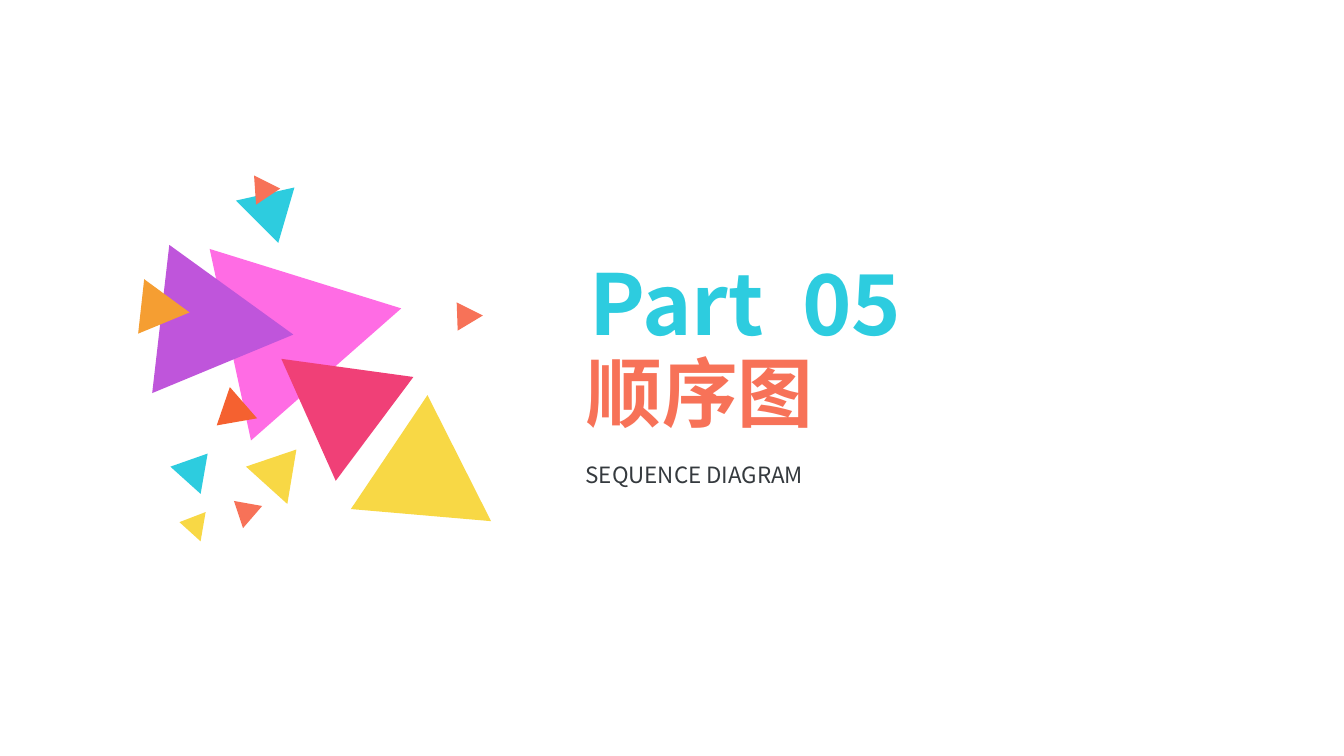
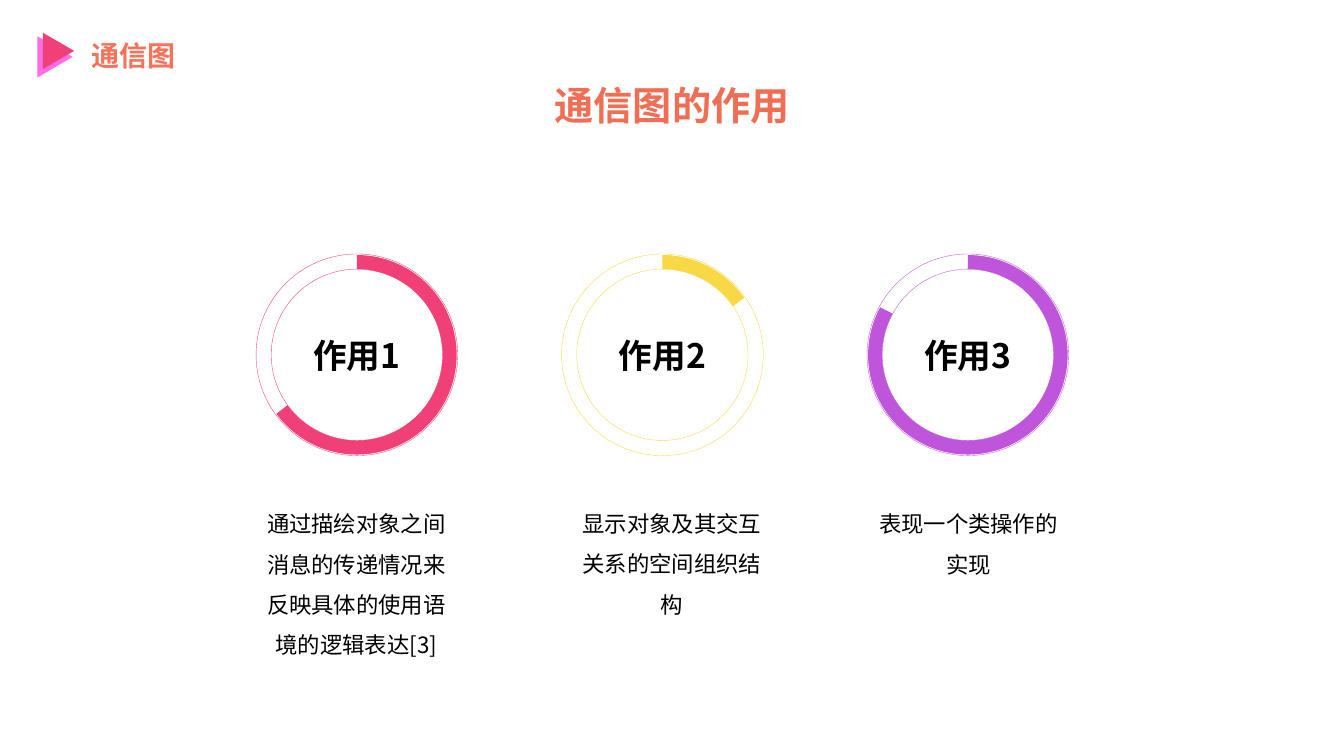
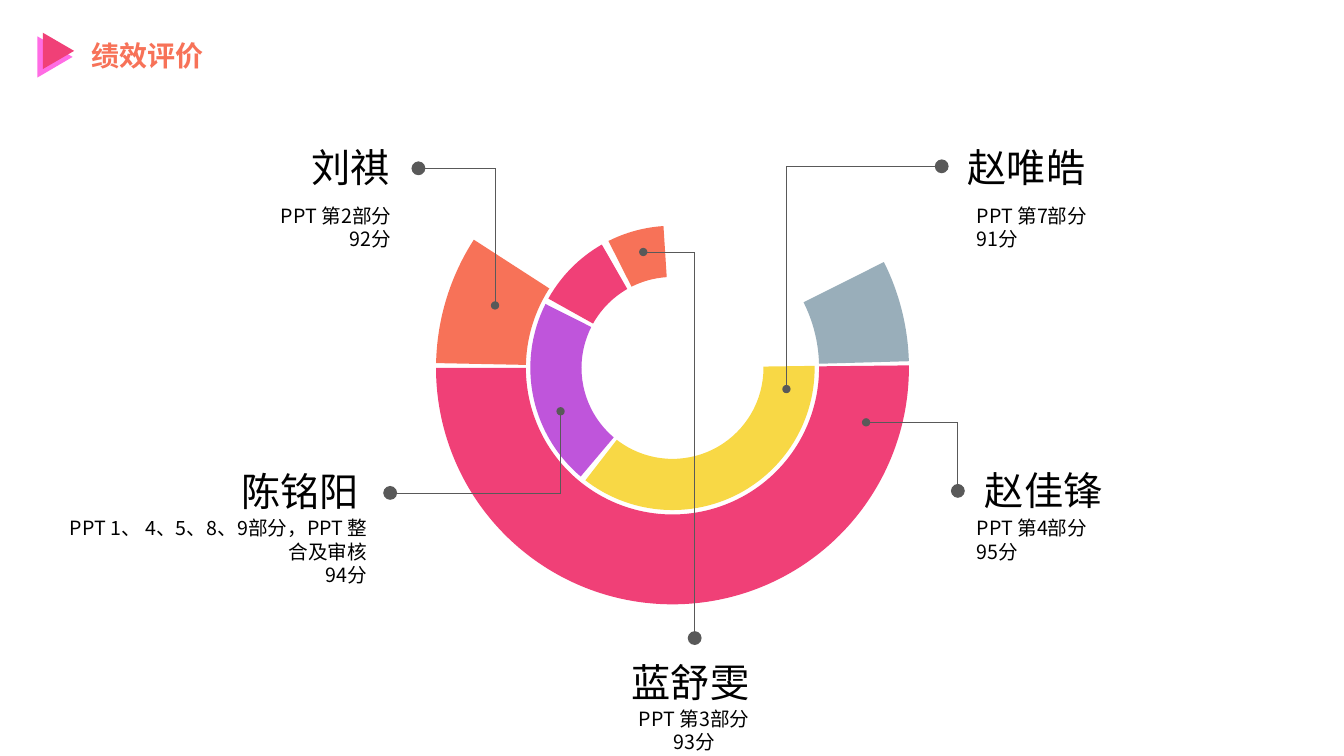
from pptx import Presentation
from pptx.dml.color import RGBColor
from pptx.enum.shapes import MSO_CONNECTOR, MSO_SHAPE
from pptx.enum.text import MSO_ANCHOR, MSO_AUTO_SIZE, PP_ALIGN
from pptx.oxml.ns import qn
from pptx.util import Inches, Pt
from lxml import etree

LEFT, CENTER, RIGHT = PP_ALIGN.LEFT, PP_ALIGN.CENTER, PP_ALIGN.RIGHT
MIDDLE = MSO_ANCHOR.MIDDLE
FIT_TEXT = MSO_AUTO_SIZE.SHAPE_TO_FIT_TEXT
TRIANGLE, ELLIPSE = MSO_SHAPE.ISOSCELES_TRIANGLE, MSO_SHAPE.OVAL
ARC, BLOCK_ARC = MSO_SHAPE.ARC, MSO_SHAPE.BLOCK_ARC
STRAIGHT = MSO_CONNECTOR.STRAIGHT

# Shared style
FONT = "Noto Sans CJK SC"
CYAN, PINK, PURPLE, AMBER = "2DCCDF", "FF6CE4", "BF55DB", "F59E32"
ORANGE, YELLOW, CORAL, ROSE = "F56130", "F8D845", "F77258", "F04077"
HEADING, SLATE, GRAY, INK, BLACK = "F06E54", "99AEBA", "595959", "353A3E", "000000"


def rgb(color):
    return RGBColor.from_string(color)


def angle(degrees):
    """Adjustment value of an angle given in degrees."""
    return degrees * 0.6


def paint(shape, fill=None, line=None, weight=0.25):
    shape.shadow.inherit = False
    if fill:
        shape.fill.solid()
        shape.fill.fore_color.rgb = rgb(fill)
    else:
        shape.fill.background()
    if line:
        shape.line.color.rgb = rgb(line)
        shape.line.width = Pt(weight)
    else:
        shape.line.fill.background()


def add_preset(slide, preset, left, top, width, height, **style):
    shape = slide.shapes.add_shape(
        preset, Inches(left), Inches(top), Inches(width), Inches(height))
    paint(shape, **style)
    return shape


def add_round(slide, preset, center, diameter, **style):
    x, y = center
    return add_preset(slide, preset, x - diameter / 2, y - diameter / 2,
                      diameter, diameter, **style)


def write(frame, text, size, color=BLACK, bold=False, align=LEFT):
    frame.text = text
    for paragraph in frame.paragraphs:
        paragraph.alignment = align
        for run in paragraph.runs:
            run.font.size = Pt(size)
            run.font.bold = bold
            run.font.name = FONT
            run.font.color.rgb = rgb(color)
            east_asian = etree.SubElement(run.font._element, qn("a:ea"))
            east_asian.set("typeface", FONT)


def add_text(slide, text, left, top, width, height, size, wrap=True, **style):
    box = slide.shapes.add_textbox(
        Inches(left), Inches(top), Inches(width), Inches(height))
    frame = box.text_frame
    frame.word_wrap = wrap
    frame.auto_size = FIT_TEXT
    write(frame, text, size, **style)
    return frame


def add_header(slide, text):
    for left, top, width, height, color in (
            (0.34, 0.39, 0.41, 0.35, PINK), (0.40, 0.35, 0.36, 0.31, ROSE)):
        marker = add_preset(slide, TRIANGLE, left, top, width, height, fill=color)
        marker.rotation = 90
    add_text(slide, text, 0.81, 0.33, 3.3, 0.44, 20, color=CORAL, bold=True)


def add_shard(slide, color, *corners):
    points = [(Inches(x), Inches(y)) for x, y in corners]
    builder = slide.shapes.build_freeform(*points[0], scale=1.0)
    builder.add_line_segments(points[1:], close=True)
    paint(builder.convert_to_shape(), fill=color)


def add_ring(slide, center, label, end, color):
    """Thin double ring with a thick arc from twelve o'clock to the end angle."""
    add_round(slide, ELLIPSE, center, 2, line=color)
    inner = add_round(slide, ELLIPSE, center, 1.7, line=color)
    inner.text_frame.vertical_anchor = MIDDLE
    write(inner.text_frame, label, 24, bold=True, align=CENTER)
    arc = add_round(slide, ARC, center, 1.84, line=color, weight=10)
    arc.adjustments[0] = angle(270)
    arc.adjustments[1] = angle(end)


def add_sector(slide, diameter, start, end, thickness, color):
    sector = add_round(slide, BLOCK_ARC, (6.67, 3.65), diameter, fill=color)
    for index, value in enumerate((angle(start), angle(end), thickness)):
        sector.adjustments[index] = value


def add_leader(slide, start, end, dot, dot_size):
    line = slide.shapes.add_connector(STRAIGHT, *map(Inches, start + end))
    line.line.color.rgb = rgb(GRAY)
    line.line.width = Pt(0.5)
    outline = line._element.spPr.find(qn("a:ln"))
    etree.SubElement(outline, qn(dot), type="oval", w=dot_size, len=dot_size)
    etree.SubElement(line._element.spPr, qn("a:effectLst"))


def add_callout(slide, sector_point, corner, label_point):
    add_leader(slide, sector_point, corner, "a:headEnd", "med")
    add_leader(slide, corner, label_point, "a:tailEnd", "lg")


def build_section(slide):
    # Burst of triangles
    shards = (
        (CYAN, (2.92, 1.86), (2.76, 2.41), (2.34, 1.99)),
        (PINK, (2.49, 4.37), (2.08, 2.47), (3.98, 3.06)),
        (PURPLE, (1.51, 3.90), (1.68, 2.43), (2.91, 3.32)),
        (AMBER, (1.37, 3.31), (1.43, 2.77), (1.88, 3.10)),
        (ORANGE, (2.15, 4.22), (2.28, 3.84), (2.55, 4.15)),
        (CYAN, (1.69, 4.63), (2.06, 4.50), (1.99, 4.90)),
        (YELLOW, (1.78, 5.18), (2.04, 5.08), (1.99, 5.37)),
        (CORAL, (2.41, 5.24), (2.32, 4.97), (2.60, 5.02)),
        (YELLOW, (2.44, 4.63), (2.94, 4.46), (2.85, 5.00)),
        (YELLOW, (3.48, 5.05), (4.24, 3.92), (4.87, 5.17)),
        (ROSE, (4.10, 3.74), (3.33, 4.77), (2.79, 3.56)),
        (CORAL, (4.54, 3.28), (4.53, 3.00), (4.79, 3.13)),
        (CORAL, (2.54, 2.03), (2.52, 1.74), (2.78, 1.87)),
    )
    for color, *corners in shards:
        add_shard(slide, color, *corners)

    # Section title
    add_text(slide, "Part  05", 5.75, 2.45, 4.5, 1.11, 60, color=CYAN, bold=True)
    add_text(slide, "顺序图", 5.72, 3.38, 7.08, 1.01, 54, color=CORAL, bold=True)
    add_text(slide, "SEQUENCE DIAGRAM", 5.71, 4.53, 6.62, 0.37, 16, color=INK)


def build_purposes(slide):
    add_header(slide, "通信图")
    add_text(slide, "通信图的作用", 4.71, 0.76, 3.91, 0.57, 28,
             color=HEADING, bold=True, align=CENTER)

    # One ring and one explanation per purpose
    purposes = (
        (ROSE, 143.85, 2.56, 1.62, "通过描绘对象之间消息的传递情况来反映具体的使用语境的逻辑表达[3]"),
        (YELLOW, 325.29, 5.69, 1.16, "显示对象及其交互关系的空间组织结构"),
        (PURPLE, 208.52, 8.63, 0.81, "表现一个类操作的实现"),
    )
    for index, (color, end, left, height, explanation) in enumerate(purposes):
        add_ring(slide, (3.54 + 3.03 * index, 3.52), f"作用{index + 1}", end, color)
        frame = add_text(slide, explanation, left, 4.93, 1.95, height, 16, align=CENTER)
        frame.margin_left = frame.margin_right = 0
        frame.margin_top = frame.margin_bottom = 0
        frame.paragraphs[0].line_spacing = 1.5
        frame.paragraphs[0].space_before = Pt(3.2)


def build_evaluation(slide):
    add_header(slide, "绩效评价")

    # Ring sectors: diameter, start, end, thickness, colour
    outer, inner = 4.69, 2.82
    for sector in (
            (outer, 359.38, 180, 0.19, ROSE),
            (inner, 130.21, 206.73, 0.18, PURPLE),
            (inner, 359.17, 127.75, 0.18, YELLOW),
            (inner, 209.19, 240.21, 0.18, ROSE),
            (outer, 181.17, 212.84, 0.19, CORAL),
            (outer, 333.39, 358.37, 0.19, SLATE),
            (inner, 243.23, 266.37, 0.18, CORAL)):
        add_sector(slide, *sector)

    # Leaders from the sectors to the names
    for points in (
            ((7.80, 3.86), (7.80, 1.65), (9.34, 1.65)),
            ((4.91, 3.03), (4.91, 1.67), (4.15, 1.67)),
            ((5.56, 4.08), (5.56, 4.89), (3.87, 4.89)),
            ((8.59, 4.19), (9.50, 4.19), (9.50, 4.87)),
            ((6.38, 2.50), (6.89, 2.50), (6.89, 6.33))):
        add_callout(slide, *points)

    # Members: name and its place, then work and score and their place
    members = (
        ("赵唯皓", (9.50, 1.37, 1.38), LEFT,
         "PPT 第7部分\n91分", (9.59, 1.97, 2.45), LEFT),
        ("赵佳锋", (9.67, 4.58, 1.38), LEFT,
         "PPT 第4部分\n95分", (9.59, 5.07, 2.45), LEFT),
        ("刘祺", (2.97, 1.37, 0.99), RIGHT,
         "PPT 第2部分\n92分", (0.73, 1.97, 3.25), RIGHT),
        ("陈铭阳", (2.28, 4.59, 1.38), RIGHT,
         "PPT 1、 4、5、8、9部分，PPT 整合及审核\n94分", (0.43, 5.07, 3.31), RIGHT),
        ("蓝舒雯", (6.15, 6.48, 1.38), RIGHT,
         "PPT 第3部分\n93分", (5.66, 6.96, 2.45), CENTER),
    )
    for name, name_place, name_align, work, work_place, work_align in members:
        add_text(slide, name, *name_place, 0.57, 28, wrap=False, align=name_align)
        add_text(slide, work, *work_place, 0.57, 14, align=work_align)


def main():
    deck = Presentation()
    deck.slide_width, deck.slide_height = Inches(13.33), Inches(7.5)
    blank = deck.slide_layouts[6]
    for build in (build_section, build_purposes, build_evaluation):
        build(deck.slides.add_slide(blank))
    deck.save("out.pptx")


if __name__ == "__main__":
    main()
